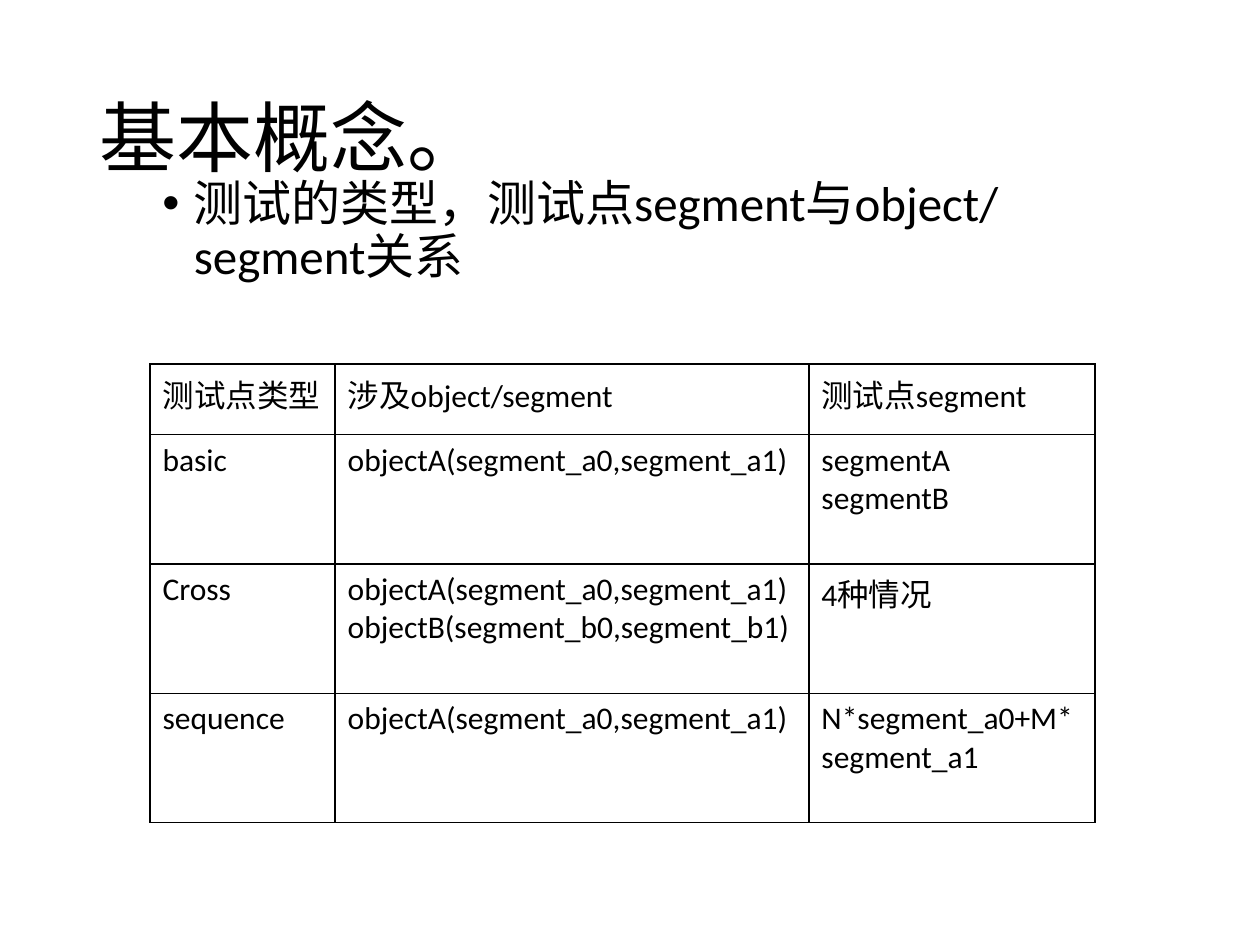
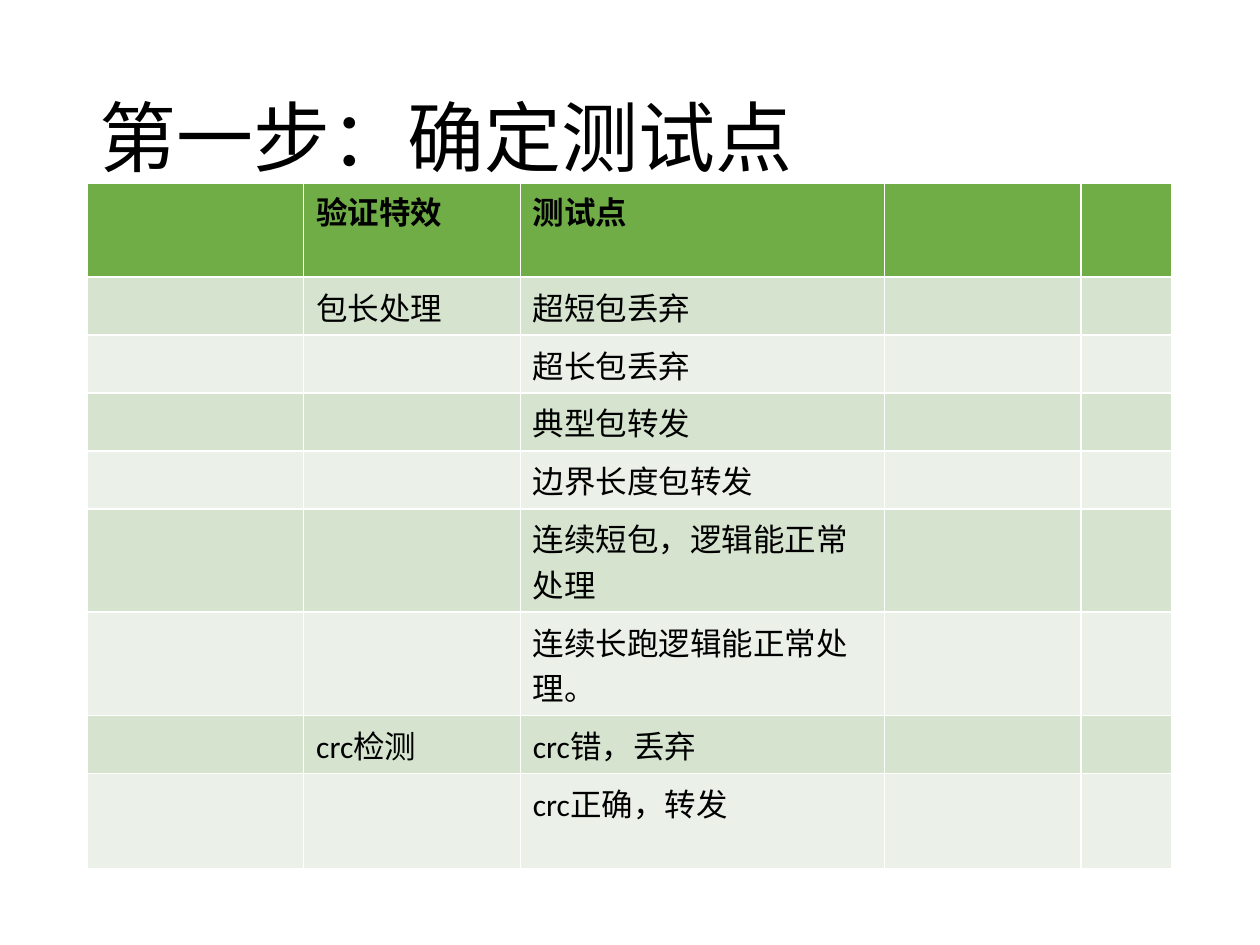
from dataclasses import dataclass

from lxml import etree
from pptx import Presentation
from pptx.dml.color import RGBColor
from pptx.enum import text
from pptx.oxml import ns
from pptx.util import Inches, Pt


@dataclass(frozen=True)
class Theme:
    font: str = "Calibri"
    ink: str = "000000"
    paper: str = "FFFFFF"
    head: str = "70AD47"
    bands: tuple = ("D5E3CF", "EBF1E9")
    title: int = 44
    body: int = 28
    cell: int = 18


THEME = Theme()
TITLE = (0.69, 0.4, 8.62, 1.45)


def write(par, words, size, bold=False):
    """Put one run of themed text into a paragraph."""
    run = par.add_run()
    run.text = words
    look = {"name": THEME.font, "size": Pt(size), "bold": bold}
    for key, value in look.items():
        setattr(run.font, key, value)
    run.font.color.rgb = RGBColor.from_string(THEME.ink)


def add_text(slide, box, words, size, anchor):
    """Wrapped text box with one paragraph, which is returned."""
    frame = slide.shapes.add_textbox(*map(Inches, box)).text_frame
    frame.word_wrap = True
    frame.vertical_anchor = anchor
    par = frame.paragraphs[0]
    par.line_spacing = 0.9
    write(par, words, size)
    return par


def add_title(slide, words):
    add_text(slide, TITLE, words, THEME.title, text.MSO_ANCHOR.MIDDLE)


def add_bullet(slide, box, words):
    par = add_text(slide, box, words, THEME.body, text.MSO_ANCHOR.TOP)
    par.space_before = Pt(10)
    props = par._p.get_or_add_pPr()
    props.set("marL", str(Inches(0.25)))
    props.set("indent", str(-Inches(0.25)))
    font = etree.SubElement(props, ns.qn("a:buFont"))
    font.set("typeface", "Arial")
    etree.SubElement(props, ns.qn("a:buChar")).set("char", "•")


def add_edges(cell, color, top=1):
    """Draw the four borders of a cell."""
    props = cell._tc.get_or_add_tcPr()
    for side, width in {"L": 1, "R": 1, "T": top, "B": 1}.items():
        line = etree.SubElement(props, ns.qn("a:ln" + side))
        line.set("w", str(Pt(width)))
        solid = etree.SubElement(line, ns.qn("a:solidFill"))
        etree.SubElement(solid, ns.qn("a:srgbClr")).set("val", color)


def add_grid(slide, box, cols, heights, rows, banded):
    """Table: plain with dark lines, or banded with white lines."""
    frame = slide.shapes.add_table(len(rows), len(cols), *map(Inches, box))
    table = frame.table
    table.first_row = table.horz_banding = False
    for col, width in zip(table.columns, cols):
        col.width = Inches(width)
    for i, (row, height) in enumerate(zip(rows, heights)):
        table.rows[i].height = Inches(height)
        head = banded and i == 0
        for j, words in enumerate(row):
            cell = table.cell(i, j)
            add_edges(cell, THEME.paper if banded else THEME.ink,
                      3 if head else 1)
            if banded:
                fill = THEME.head if head else THEME.bands[(i - 1) % 2]
                cell.fill.solid()
                cell.fill.fore_color.rgb = RGBColor.from_string(fill)
            else:
                cell.fill.background()
            for k, line in enumerate(words.split("\n") if words else ()):
                body = cell.text_frame
                par = body.add_paragraph() if k else body.paragraphs[0]
                write(par, line, THEME.cell, head)


def build_types(slide):
    """Basic concepts: kinds of test points."""
    left, width = 1.19, 7.5
    add_title(slide, "基本概念。")
    add_bullet(slide, (left, 1.37, width, 1.22),
               "测试的类型，测试点segment与object/segment关系")
    call = "objectA(segment_a0,segment_a1)"
    rows = [
        ("测试点类型", "涉及object/segment", "测试点segment"),
        ("basic", call, "segmentA\nsegmentB"),
        ("Cross", call + "\nobjectB(segment_b0,segment_b1)", "4种情况"),
        ("sequence", call, "N*segment_a0+M*segment_a1"),
    ]
    # The rows under the head share the rest of the height
    full, head = 3.64, 0.56
    heights = [head] + [(full - head) / 3] * 3
    add_grid(slide, (left, 2.89, width, full), (1.47, 3.76, 2.27),
             heights, rows, banded=False)


def build_points(slide):
    """Step one: list of test points by feature."""
    add_title(slide, "第一步：确定测试点")
    points = [
        ("验证特效", "测试点"),
        ("包长处理", "超短包丢弃"),
        ("", "超长包丢弃"),
        ("", "典型包转发"),
        ("", "边界长度包转发"),
        ("", "连续短包，逻辑能正常处理"),
        ("", "连续长跑逻辑能正常处理。"),
        ("crc检测", "crc错，丢弃"),
        ("", "crc正确，转发"),
    ]
    rows = [("", *pair, "", "") for pair in points]
    edge, one, two = 0.76, 0.46, 0.82
    heights = [edge] + [one] * 4 + [two] * 2 + [one, edge]
    add_grid(slide, (TITLE[0], 1.44, TITLE[2], sum(heights)),
             (1.72, 1.72, 2.89, 1.56, 0.72), heights, rows, banded=True)


deck = Presentation()
deck.slide_width, deck.slide_height = Inches(10), Inches(7.5)
for build in (build_types, build_points):
    build(deck.slides.add_slide(deck.slide_layouts[6]))
deck.save("out.pptx")
